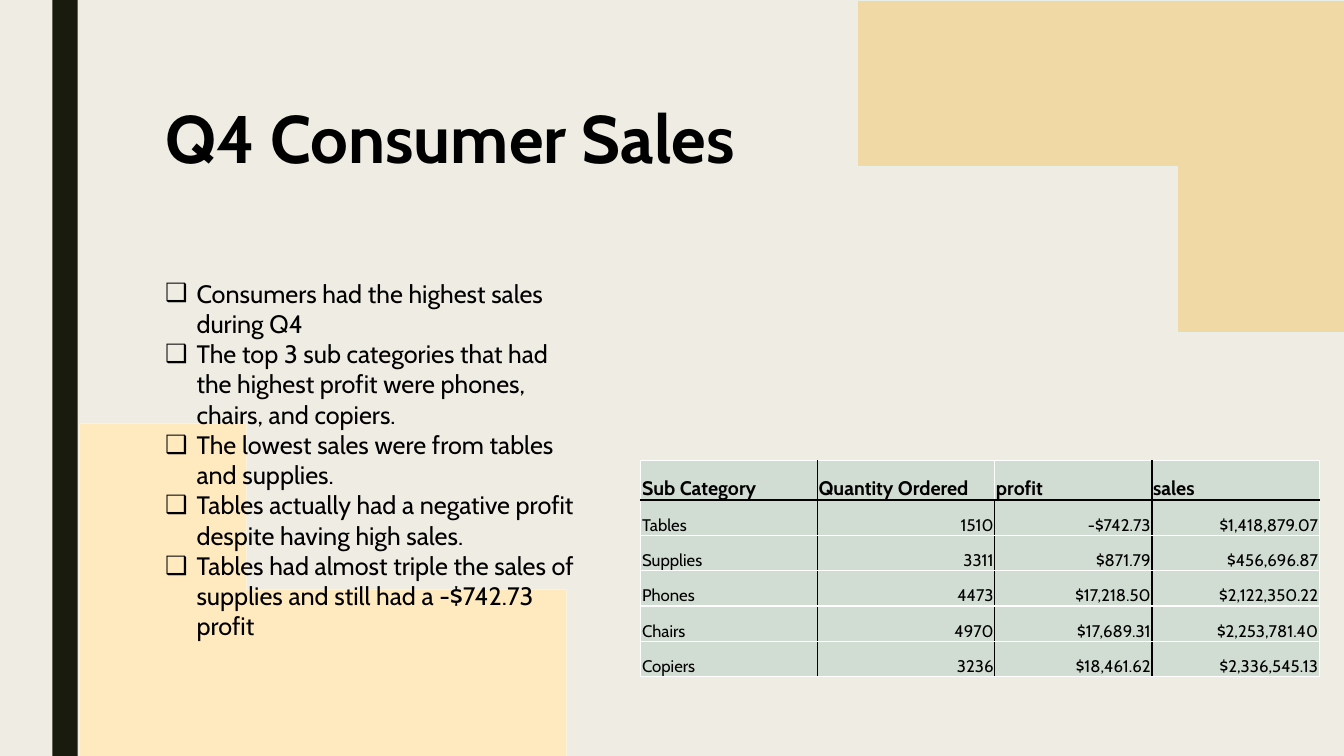
from lxml.etree import SubElement
from pptx import Presentation
from pptx.dml.color import RGBColor
from pptx.enum.shapes import MSO_SHAPE
from pptx.enum.text import MSO_ANCHOR, MSO_AUTO_SIZE, PP_ALIGN
from pptx.oxml import parse_xml
from pptx.oxml.ns import nsdecls, qn
from pptx.util import Cm, Pt

COLOURS = {
    "background": "EFEDE3", "bar": "191B0E", "text": "000000",
    "cream": "FFEAC0", "cream edge": "FAF2E1",
    "sand": "F0D9A5", "sand edge": "E8EEE8",
    "cell": "D1DDD2", "dark rule": "000000", "light rule": "FFFFFF",
}
TITLE_FONT = {"name": "Cabin", "size": Pt(48), "bold": True}
BODY_FONT = {"name": "Cabin", "size": Pt(18), "bold": False}
HEADER_FONT = {"name": "Cabin", "size": Pt(14), "bold": True}
CELL_FONT = {"name": "Cabin", "size": Pt(12), "bold": False}
FRAME_FORMAT = {"word_wrap": True, "auto_size": MSO_AUTO_SIZE.NONE,
                "vertical_anchor": MSO_ANCHOR.TOP}
TITLE_PARAGRAPH = {"alignment": PP_ALIGN.LEFT, "line_spacing": 0.89}
BODY_PARAGRAPH = {"alignment": PP_ALIGN.LEFT, "line_spacing": 1.0,
                  "space_before": Pt(0), "space_after": Pt(0)}
CELL_FORMAT = {"vertical_anchor": MSO_ANCHOR.BOTTOM, "margin_left": Cm(0.03),
               "margin_right": Cm(0.03), "margin_top": Cm(0.03), "margin_bottom": 0}

FINDINGS = [
    "Consumers had the highest sales during Q4",
    "The top 3 sub categories that had the highest profit were phones, chairs, and copiers.",
    "The lowest sales were from tables and supplies.",
    "Tables actually had a negative profit despite having high sales.",
    "Tables had almost triple the sales of supplies and still had a -$742.73 profit",
]
SALES = [
    ["Sub Category", "Quantity Ordered", "profit", "sales"],
    ["Tables", "1510", "-$742.73", "$1,418,879.07"],
    ["Supplies", "3311", "$871.79", "$456,696.87"],
    ["Phones", "4473", "$17,218.50", "$2,122,350.22"],
    ["Chairs", "4970", "$17,689.31", "$2,253,781.40"],
    ["Copiers", "3236", "$18,461.62", "$2,336,545.13"],
]
COLUMN_WIDTHS = [4.45, 4.47, 3.96, 4.22]
HEADER_HEIGHT, ROW_HEIGHT = 0.99, 0.89


def colour(name):
    """Return the named palette colour."""
    return RGBColor.from_string(COLOURS[name])


def apply_format(target, values):
    """Set each format value on the target."""
    for attribute, value in values.items():
        setattr(target, attribute, value)


def write_paragraph(paragraph, wording, font, layout):
    """Write one formatted run into a paragraph."""
    run = paragraph.add_run()
    run.text = wording
    apply_format(run.font, font)
    run.font.color.rgb = colour("text")
    apply_format(paragraph, layout)


def add_block(slide, preset, box, fill, edge=None, rotation=0):
    """Add a flat decorative block behind the title."""
    block = slide.shapes.add_shape(preset, *map(Cm, box))
    block.rotation = rotation
    block.shadow.inherit = False
    block.fill.solid()
    block.fill.fore_color.rgb = colour(fill)
    if edge:
        block.line.color.rgb = colour(edge)
        block.line.width = Pt(0.5)
    else:
        block.line.fill.background()
    slide.shapes.title.element.addprevious(block.element)


def add_backdrop(slide, box):
    """Colour the slide and place the bar and corner blocks in the box."""
    left, top, width, height = box
    corner_width, corner_height = 12.27, 8.38
    slide.background.fill.solid()
    slide.background.fill.fore_color.rgb = colour("background")
    add_block(slide, MSO_SHAPE.RECTANGLE, (left + 1.32, top, 0.64, height), "bar")
    add_block(slide, MSO_SHAPE.CORNER,
              (left + 2.01, top + height - corner_height, corner_width, corner_height),
              "cream", "cream edge")
    add_block(slide, MSO_SHAPE.CORNER,
              (left + width - corner_width, top, corner_width, corner_height),
              "sand", "sand edge", 180)


def place_frame(placeholder, box):
    """Fit a placeholder to the box and return its text frame."""
    apply_format(placeholder, dict(zip(("left", "top", "width", "height"), map(Cm, box))))
    apply_format(placeholder.text_frame, FRAME_FORMAT)
    return placeholder.text_frame


def add_title(slide, box):
    """Write the slide title in the box."""
    heading = place_frame(slide.shapes.title, box)
    write_paragraph(heading.paragraphs[0], "Q4 Consumer Sales", TITLE_FONT, TITLE_PARAGRAPH)


def add_findings(slide, box):
    """List the findings with square bullets in the box."""
    findings = place_frame(slide.placeholders[1], box)
    for index, finding in enumerate(FINDINGS):
        paragraph = findings.add_paragraph() if index else findings.paragraphs[0]
        write_paragraph(paragraph, finding, BODY_FONT, BODY_PARAGRAPH)
        properties = paragraph._p.get_or_add_pPr()
        properties.set("marL", str(Cm(0.79)))
        properties.set("indent", str(-Cm(0.79)))
        SubElement(properties, qn("a:buChar")).set("char", "❑")


def rule_cell(cell, row, column):
    """Draw the four borders that suit the cell's place in the table."""
    def upright(edge):
        """Name the rule on a column edge."""
        inner = 0 < edge < len(COLUMN_WIDTHS) and (row, edge) != (0, 2)
        return "dark rule" if inner else "light rule"

    def level(edge):
        """Name the rule on a row edge."""
        return "dark rule" if edge == 1 else "light rule"

    sides = {"lnL": upright(column), "lnR": upright(column + 1),
             "lnT": level(row), "lnB": level(row + 1)}
    properties = cell._tc.get_or_add_tcPr()
    for position, (side, rule) in enumerate(sides.items()):
        properties.insert(position, parse_xml(
            f'<a:{side} {nsdecls("a")} w="{Pt(1)}"><a:solidFill>'
            f'<a:srgbClr val="{COLOURS[rule]}"/></a:solidFill></a:{side}>'))


def add_sales_table(slide, left, top):
    """Build the sales table from its top left corner."""
    heights = [HEADER_HEIGHT] + [ROW_HEIGHT] * (len(SALES) - 1)
    table = slide.shapes.add_table(len(SALES), len(COLUMN_WIDTHS), Cm(left), Cm(top),
                                   Cm(sum(COLUMN_WIDTHS)), Cm(sum(heights))).table
    apply_format(table, {"first_row": False, "horz_banding": False})
    for column, width in zip(table.columns, COLUMN_WIDTHS):
        column.width = Cm(width)
    for row, (record, height) in enumerate(zip(SALES, heights)):
        table.rows[row].height = Cm(height)
        for column, entry in enumerate(record):
            cell = table.cell(row, column)
            apply_format(cell, CELL_FORMAT)
            cell.fill.solid()
            cell.fill.fore_color.rgb = colour("cell")
            rule_cell(cell, row, column)
            alignment = PP_ALIGN.RIGHT if row and column else PP_ALIGN.LEFT
            write_paragraph(cell.text_frame.paragraphs[0], entry,
                            CELL_FONT if row else HEADER_FONT, {"alignment": alignment})


def main():
    """Build and save the consumer sales slide."""
    deck = Presentation()
    apply_format(deck, {"slide_width": Cm(33.87), "slide_height": Cm(19.05)})
    slide = deck.slides.add_slide(deck.slide_layouts[1])
    add_backdrop(slide, (0, 0, 33.87, 19.05))
    add_title(slide, (3.91, 2.54, 15.6, 3.3))
    add_findings(slide, (3.91, 6.88, 10.95, 9.5))
    add_sales_table(slide, 16.15, 11.61)
    deck.save("out.pptx")


if __name__ == "__main__":
    main()
